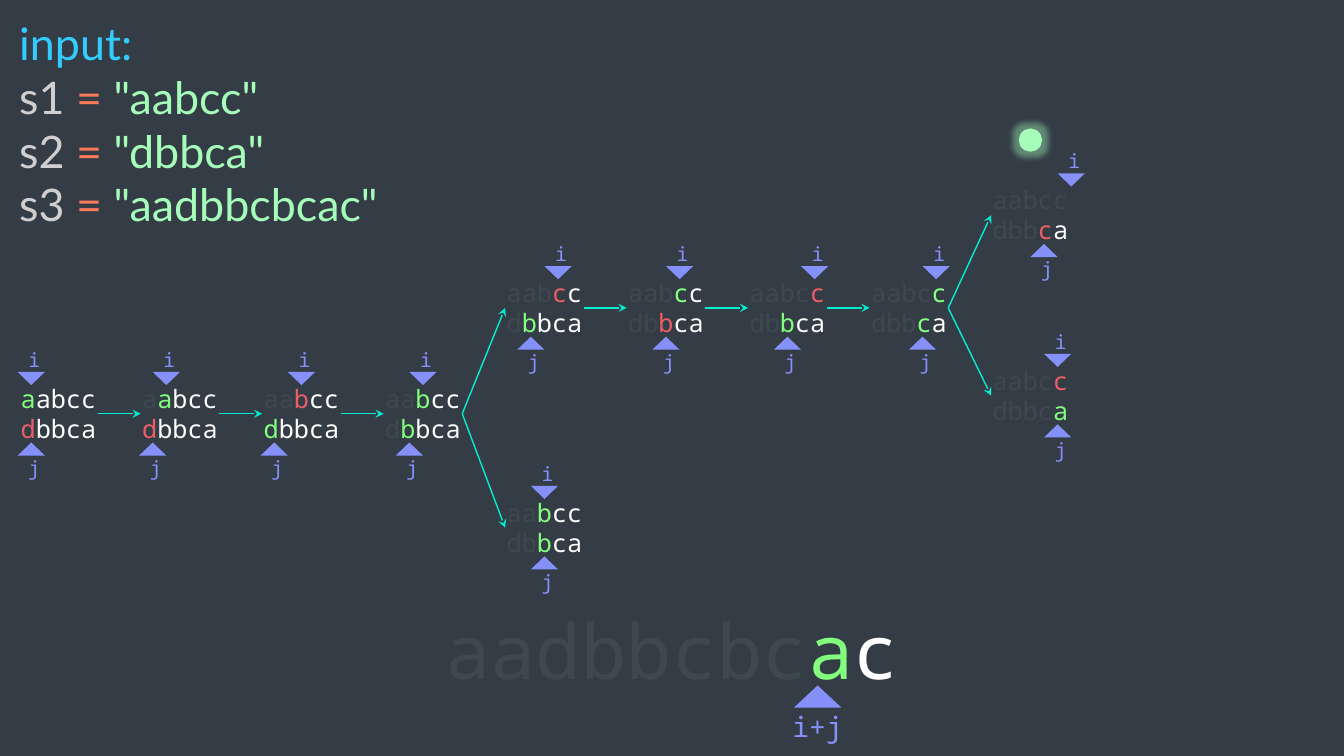
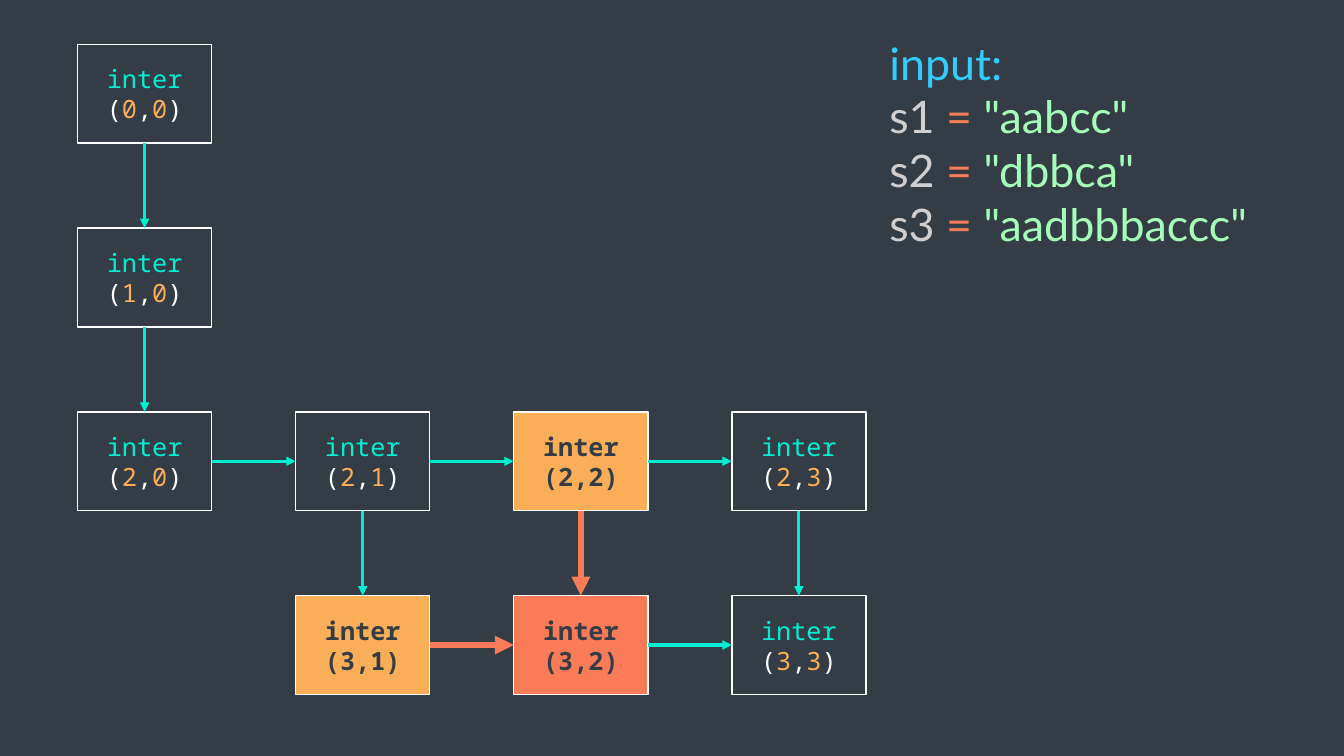
from pptx import Presentation
from pptx import util as u
from pptx.dml.color import RGBColor
from pptx.enum import shapes, text
from pptx.oxml.ns import qn
from lxml import etree

# Shared look
DARK, WHITE, GHOST = "343D46", "FFFFFF", "FFFFFF0D"  # last pair is alpha
GREEN, RED, BLUE = "83FF7F", "EC5E66", "8690FA"
TEAL, AMBER, CORAL = "00EFD1", "F9AE57", "F97B57"
SKY, GREY, MINT = "33CCFF", "D0CECE", "A5FDB9"
MONO = "Noto Sans Mono"
LEFT, MID = text.PP_ALIGN.LEFT, text.PP_ALIGN.CENTER
TOP, CORE = text.MSO_ANCHOR.TOP, text.MSO_ANCHOR.MIDDLE
FORM = shapes.MSO_SHAPE
inch = u.Inches


def tint(fill, code):
    fill.solid()
    fill.fore_color.rgb = RGBColor.from_string(code[:6])


def write(box, lines, font=MONO, size=18, bold=False, align=MID, ins=(0, 0.05), anchor=TOP):
    """Fill a shape with lines, each a list of (text, colour)."""
    frame = box.text_frame
    frame.word_wrap = True
    frame.auto_size = text.MSO_AUTO_SIZE.NONE
    frame.vertical_anchor = anchor
    frame.margin_left = frame.margin_right = inch(ins[0])
    frame.margin_top = frame.margin_bottom = inch(ins[1])
    for n, line in enumerate(lines):
        para = frame.add_paragraph() if n else frame.paragraphs[0]
        para.alignment, para.line_spacing, para.space_before = align, 1.0, u.Pt(0)
        for words, code in line:
            if not words:
                continue
            run = para.add_run()
            run.text = words
            run.font.name, run.font.size, run.font.bold = font, u.Pt(size), bold
            tint(run.font.fill, code)
            if code[6:]:
                clr = run._r.find(".//" + qn("a:srgbClr"))
                alpha = round(int(code[6:], 16) / 255 * 100) * 1000
                etree.SubElement(clr, qn("a:alpha")).set("val", str(alpha))


deck = Presentation()
deck.slide_width, deck.slide_height = inch(13.33), inch(7.5)
tint(deck.slide_master.background.fill, DARK)

# Input listing on both slides: title and body placeholders
pages = []
for left, top, goal in [(0.09, 0.11, "aadbbcbcac"), (8.72, 0.3, "aadbbbaccc")]:
    page = deck.slides.add_slide(deck.slide_layouts[1])
    pages.append(page)
    head, body = page.placeholders
    vals = {"s1": "aabcc", "s2": "dbbca", "s3": goal}
    rows = [[(f"{key} ", GREY), ("= ", CORAL), (f'"{val}"', MINT)] for key, val in vals.items()]
    for box, y, high, lines in [(head, top, 0.63, [[("input:", SKY)]]),
                                (body, top + 0.53, 1.73, rows)]:
        box.left, box.top, box.width, box.height = map(inch, (left, y, 4.4, high))
        write(box, lines, font="Lato", size=32, align=LEFT, ins=(0.1, 0.05))
    for para in body.text_frame.paragraphs:
        props = para._p.get_or_add_pPr()
        props.set("marL", "0")
        props.set("indent", "0")
        etree.SubElement(props, qn("a:buNone"))
trace, calls = pages
links = []  # page, from box, site, to box, site, colour, weight, head

# Slide 1: search states as column, top, i, j, colour at i, colour at j
states = [
    (0, 3.75, 0, 0, GREEN, RED), (1, 3.75, 1, 0, GREEN, RED),
    (2, 3.75, 2, 0, RED, GREEN), (3, 3.75, 2, 1, GREEN, GREEN),
    (4, 2.7, 3, 1, RED, GREEN), (5, 2.7, 3, 2, GREEN, RED),
    (6, 2.7, 4, 2, RED, GREEN), (7, 2.7, 4, 3, GREEN, GREEN),
    (8, 3.57, 4, 4, RED, GREEN), (4, 4.88, 2, 2, GREEN, GREEN),
    (8, 1.78, 5, 3, GREEN, RED),
]
marks = []  # centre, top, width, height, turn, label, label top, label size
nodes = []
for col, top, i, j, hot, cold in states:
    left = 0.19 + 1.205 * col
    box = trace.shapes.add_textbox(*map(inch, (left, top, 0.78, 0.71)))
    write(box, [[(word[:n], GHOST), (word[n:n + 1], code), (word[n + 1:], WHITE)]
                for word, n, code in [("aabcc", i, hot), ("dbbca", j, cold)]])
    nodes.append(box)
    for n, name, turn, tip, tag in [(i, "i", 180, -0.06, -0.35), (j, "j", 0, 0.64, 0.72)]:
        marks.append((left + 0.12 + 0.135 * n, top + tip, 0.27, 0.13, turn, name, top + tag, 14))

# Merged word and its pointer
word = trace.shapes.add_textbox(*map(inch, (3.84, 5.94, 5.65, 1.01)))
write(word, [[("aadbbcbc", GHOST), ("a", GREEN), ("c", WHITE)]], size=54)
marks.append((8.11, 6.8, 0.47, 0.22, 0, "i+j", 6.99, 20))

# Triangles with labels
for mid, top, wide, high, turn, name, low, size in marks:
    tri = trace.shapes.add_shape(FORM.ISOSCELES_TRIANGLE,
                                 *map(inch, (mid - wide / 2, top, wide, high)))
    tri.rotation = turn
    tri.shadow.inherit = False
    tint(tri.fill, BLUE)
    tri.line.fill.background()
    span, shift = (0.24, 0.03) if len(name) == 1 else (0.7, 0)
    tag = trace.shapes.add_textbox(*map(inch, (mid + shift - span / 2, low, span, size / 40)))
    write(tag, [[(name, BLUE)]], size=size)

# Glowing dot
dot = trace.shapes.add_shape(FORM.OVAL, *map(inch, (10.12, 1.29, 0.2, 0.2)))
dot.shadow.inherit = False
tint(dot.fill, MINT)
tint(dot.line.fill, MINT)
dot.line.width = u.Pt(2.25)
glow = etree.SubElement(dot._element.spPr.find(qn("a:effectLst")), qn("a:glow"), rad=str(u.Pt(8)))
clr = etree.SubElement(glow, qn("a:srgbClr"), val=MINT)
etree.SubElement(clr, qn("a:alpha"), val="40000")

steps = [(n, n + 1) for n in range(8)] + [(3, 9), (7, 10)]
for a, b in steps:
    links.append((trace, nodes[a], 3, nodes[b], 1, TEAL, 1, "stealth"))

# Slide 2: call grid, keyed by row and column
fills = {(3, 1): AMBER, (2, 2): AMBER, (3, 2): CORAL}
cells = {}
for row, col in [(0, 0), (1, 0), (2, 0), (2, 1), (2, 2), (2, 3), (3, 1), (3, 2), (3, 3)]:
    box = calls.shapes.add_shape(FORM.RECTANGLE, *map(inch, (
        0.77 + 2.163 * col, 0.44 + 1.823 * row, 1.33, 0.98)))
    box.shadow.inherit = False
    back = fills.get((row, col), DARK)
    tint(box.fill, back)
    tint(box.line.fill, WHITE)
    box.line.width = u.Pt(1)
    if back == DARK:
        args = [("(", WHITE), (str(row), AMBER), (",", WHITE), (str(col), AMBER), (")", WHITE)]
        lines = [[("inter", TEAL)], args]
    else:
        lines = [[("inter", DARK)], [(f"({row},{col})", DARK)]]
    write(box, lines, bold=back != DARK, ins=(0, 0), anchor=CORE)
    cells[row, col] = box

# Calls go down or right; those into (3,2) are stressed
down = [(0, 0), (1, 0), (2, 1), (2, 2), (2, 3)]
right = [(2, 0), (2, 1), (2, 2), (3, 1), (3, 2)]
moves = [(at, 1, 0, 2, 0) for at in down] + [(at, 0, 1, 3, 1) for at in right]
for (row, col), dy, dx, out, into in moves:
    goal = (row + dy, col + dx)
    code, weight = (CORAL, 4.5) if goal == (3, 2) else (TEAL, 2.25)
    links.append((calls, cells[row, col], out, cells[goal], into, code, weight, "triangle"))

# Arrows of both slides
for page, a, out, b, into, code, weight, tip in links:
    wire = page.shapes.add_connector(shapes.MSO_CONNECTOR.STRAIGHT, 0, 0, 0, 0)
    wire.begin_connect(a, out)
    wire.end_connect(b, into)
    tint(wire.line.fill, code)
    wire.line.width = u.Pt(weight)
    props = wire._element.spPr
    etree.SubElement(props.find(qn("a:ln")), qn("a:tailEnd"), type=tip)
    etree.SubElement(props, qn("a:effectLst"))

deck.save("out.pptx")
